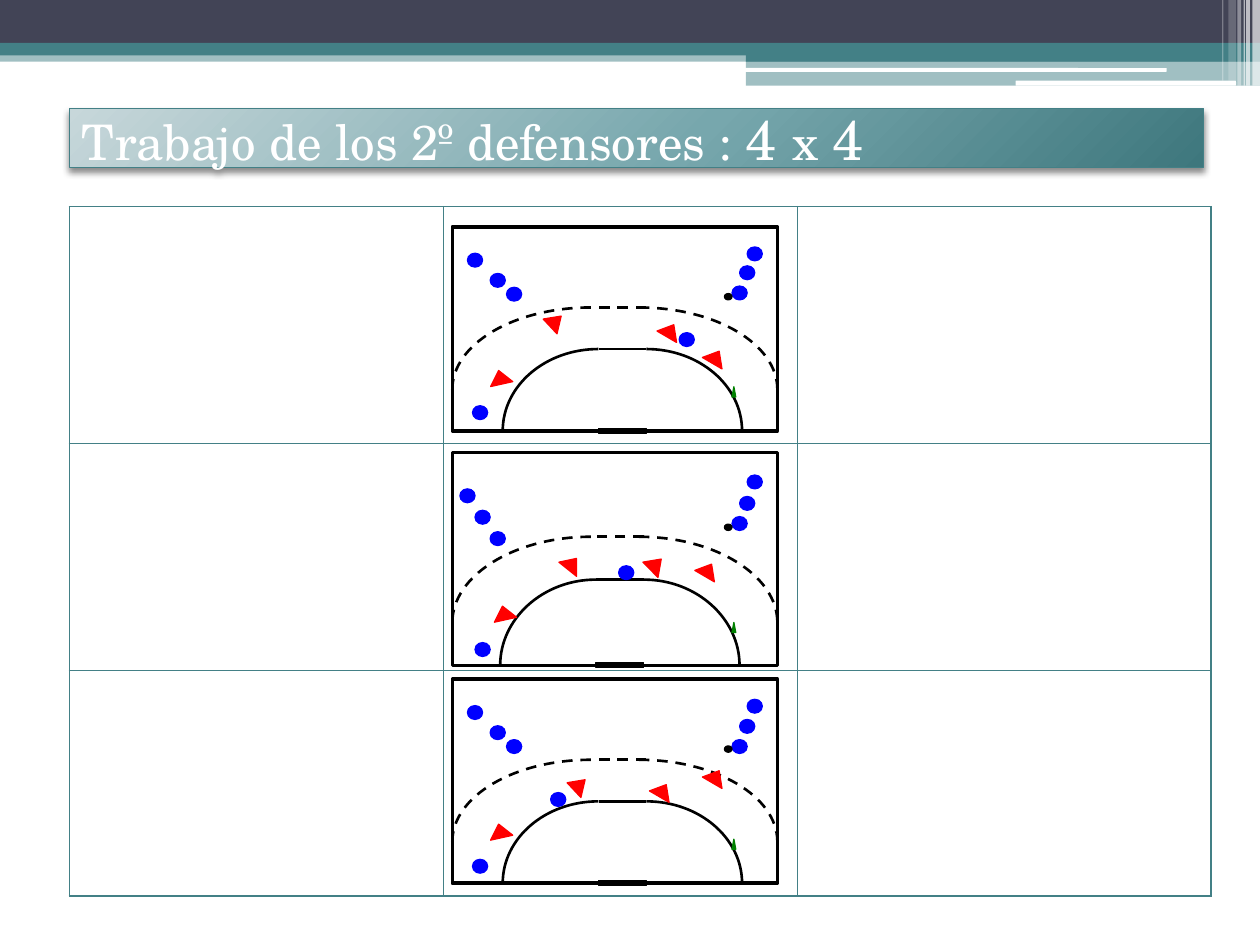
from lxml.etree import SubElement
from pptx import Presentation
from pptx.dml.color import RGBColor
from pptx.enum.dml import MSO_LINE
from pptx.enum.shapes import MSO_CONNECTOR, MSO_SHAPE
from pptx.enum.text import MSO_ANCHOR, PP_ALIGN
from pptx.oxml import parse_xml
from pptx.oxml.ns import nsdecls, qn
from pptx.util import Pt

PX = 9144  # 100 px to the inch
FONT = "TeX Gyre Schola"
WHITE = RGBColor(0xFF, 0xFF, 0xFF)
BLACK = RGBColor(0x00, 0x00, 0x00)
SLATE = RGBColor(0x42, 0x44, 0x56)
TEAL = RGBColor(0x43, 0x80, 0x86)
BLUE = RGBColor(0x00, 0x00, 0xFF)
RED = RGBColor(0xFF, 0x00, 0x00)
GREEN = RGBColor(0x00, 0x80, 0x00)

HEADER_BANDS = [  # left, top, width, height, colour, opacity in percent
    (0, 40, 1000, 9, TEAL, 50),
    (0, 0, 1000, 34, SLATE, 100),
    (0, 34, 1000, 10, TEAL, 100),
    (592, 39, 408, 10, TEAL, 100),
    (592, 48, 408, 20, TEAL, 50),
    (591, 54, 335, 3, WHITE, 100),
    (806, 64, 175, 4, WHITE, 100),
    (994, 0, 6, 68, WHITE, 65),
    (989, 0, 3, 68, WHITE, 65),
    (987, 0, 1, 68, WHITE, 60),
    (982, 0, 3, 68, WHITE, 40),
    (975, 0, 6, 64, WHITE, 20),
    (970, 0, 1, 64, WHITE, 30),
]

# Positions are relative to the court; defenders are left, top, width, height, rotation.
DRILLS = [
    {
        "box": (359, 180, 258, 162), "goal_left": 116,
        "attackers": [(222, 47), (228, 31), (234, 16), (180, 84),
                      (30, 37), (43, 48), (12, 21), (16, 142)],
        "defenders": [(164, 77, 18, 11, 30.2), (200, 98, 18, 11, 30.2),
                      (74, 69, 16, 12, 46.9), (29, 114, 18, 11, 347.5)],
        "goalkeeper": (222, 127), "ball": (216, 53),
    },
    {
        "box": (359, 359, 258, 169), "goal_left": 114,
        "attackers": [(222, 51), (228, 35), (234, 18), (132, 90),
                      (18, 46), (30, 63), (6, 29), (18, 151)],
        "defenders": [(153, 83, 17, 12, 45.4), (194, 88, 18, 11, 30.2),
                      (86, 83, 18, 11, 38.7), (32, 122, 18, 11, 347.5)],
        "goalkeeper": (222, 135), "ball": (216, 57),
    },
    {
        "box": (359, 539, 258, 162), "goal_left": 116,
        "attackers": [(222, 48), (228, 32), (234, 16), (78, 90),
                      (30, 37), (43, 48), (12, 21), (16, 143)],
        "defenders": [(158, 83, 18, 11, 30.2), (200, 72, 18, 11, 30.2),
                      (93, 78, 16, 12, 46.9), (29, 115, 18, 11, 347.5)],
        "goalkeeper": (222, 127), "ball": (216, 53),
    },
]


def add_solid(shapes, kind, box, fill, line=None, weight=0.75, rotation=0):
    shape = shapes.add_shape(kind, *(value * PX for value in box))
    shape.shadow.inherit = False
    shape.fill.solid()
    shape.fill.fore_color.rgb = fill
    if line is None:
        shape.line.fill.background()
    else:
        shape.line.color.rgb = line
        shape.line.width = Pt(weight)
    shape.rotation = rotation
    return shape


def style_marking(line, dashed):
    line.color.rgb = BLACK
    line.width = Pt(1.5)
    if dashed:
        line.dash_style = MSO_LINE.DASH


def add_header(slide):
    for *box, colour, opacity in HEADER_BANDS:
        kind = MSO_SHAPE.ROUNDED_RECTANGLE if (colour, opacity) == (WHITE, 100) else MSO_SHAPE.RECTANGLE
        band = add_solid(slide.shapes, kind, box, colour)
        if opacity < 100:
            colour_element = band.fill._xPr.find(qn("a:solidFill"))[0]
            SubElement(colour_element, qn("a:alpha"), val=str(opacity * 1000))


def add_title(slide, box):
    shape = add_solid(slide.shapes, MSO_SHAPE.RECTANGLE, box, TEAL, TEAL)
    properties = shape._element.spPr
    properties.replace(properties.find(qn("a:solidFill")), parse_xml(
        f'<a:gradFill {nsdecls("a")} rotWithShape="1"><a:gsLst>'
        '<a:gs pos="0"><a:srgbClr val="C7D7DA"/></a:gs>'
        '<a:gs pos="55000"><a:srgbClr val="77A7AD"/></a:gs>'
        '<a:gs pos="100000"><a:srgbClr val="3E777D"/></a:gs></a:gsLst>'
        '<a:path path="circle"><a:fillToRect l="-40000" t="-90000" r="140000" b="190000"/>'
        '</a:path></a:gradFill>'))
    properties.find(qn("a:effectLst")).append(parse_xml(
        f'<a:outerShdw {nsdecls("a")} blurRad="50800" dist="25400" dir="5400000" rotWithShape="0">'
        '<a:srgbClr val="000000"><a:alpha val="45000"/></a:srgbClr></a:outerShdw>'))
    frame = shape.text_frame
    frame.word_wrap = True
    frame.vertical_anchor = MSO_ANCHOR.MIDDLE
    paragraph = frame.paragraphs[0]
    paragraph.alignment = PP_ALIGN.LEFT
    for text, size in [("Trabajo de los 2º defensores : ", 28), ("4 ", 32), ("x ", 28), ("4", 32)]:
        run = paragraph.add_run()
        run.text = text
        run.font.name = FONT
        run.font.size = Pt(size)
        run.font.color.rgb = WHITE


def add_grid(slide, left, top, widths, heights):
    """Empty table with thin borders that holds the courts."""
    table = slide.shapes.add_table(len(heights), len(widths), left * PX, top * PX,
                                   sum(widths) * PX, sum(heights) * PX).table
    table.first_row = False
    table.horz_banding = False
    for column, width in zip(table.columns, widths):
        column.width = width * PX
    for row, height in zip(table.rows, heights):
        row.height = height * PX
    for cell in table.iter_cells():
        properties = cell._tc.get_or_add_tcPr()
        for side in ("lnL", "lnR", "lnT", "lnB"):
            border = SubElement(properties, qn(f"a:{side}"), w=str(Pt(1)))
            SubElement(SubElement(border, qn("a:solidFill")), qn("a:srgbClr"), val=str(TEAL))
        cell.fill.background()


def add_quarter_arc(shapes, start_x, start_y, width, height, dashed):
    """Quarter ellipse from its top, ending at the right, or at the left if width is negative."""
    builder = shapes.build_freeform(start_x, start_y, scale=PX)
    builder.add_line_segments([(start_x + width, start_y + height)], close=False)
    arc = builder.convert_to_shape()
    segment = next(arc._element.iter(qn("a:lnTo")))
    curve = parse_xml(f'<a:cubicBezTo {nsdecls("a")}/>')
    origin = max(0, -width)
    for across, down in [(0.55, 0), (1, 0.45), (1, 1)]:
        SubElement(curve, qn("a:pt"), x=str(round(origin + width * across)),
                   y=str(round(height * down)))
    segment.getparent().replace(segment, curve)
    arc.shadow.inherit = False
    arc.fill.background()
    style_marking(arc.line, dashed)


def add_straight_marking(shapes, left, right, y, dashed):
    line = shapes.add_connector(MSO_CONNECTOR.STRAIGHT, right * PX, y * PX, left * PX, y * PX)
    SubElement(line._element.spPr, qn("a:effectLst"))
    style_marking(line.line, dashed)


def add_court(slide, box, goal_left, attackers, defenders, goalkeeper, ball):
    left, top, width, height = box
    shapes = slide.shapes.add_group_shape().shapes
    add_solid(shapes, MSO_SHAPE.RECTANGLE, box, WHITE, BLACK, 2)

    goal_start, goal_end = left + goal_left, left + goal_left + 38
    markings = [  # arc starts, arc width, top as a share of the height, dashed
        (goal_start, goal_end, 76, 0.6, False),
        (left + 110, left + 148, 110, 0.4, True),
    ]
    for arc_left, arc_right, arc_width, share, dashed in markings:
        y = top + int(height * share)
        arc_height = round(height * 0.4)
        add_quarter_arc(shapes, arc_right, y, arc_width, arc_height, dashed)
        add_quarter_arc(shapes, arc_left, y, -arc_width, arc_height, dashed)
        add_straight_marking(shapes, goal_start, goal_end, y, dashed)
    add_solid(shapes, MSO_SHAPE.RECTANGLE, (goal_start, top + height - 2, 38, 4), BLACK, BLACK)

    def add_piece(kind, x, y, piece_width, piece_height, colour, rotation=0):
        add_solid(shapes, kind, (left + x, top + y, piece_width, piece_height),
                  colour, colour, rotation=rotation)

    for x, y in attackers:
        add_piece(MSO_SHAPE.OVAL, x, y, 12, 11, BLUE)
    for *place, rotation in defenders:
        add_piece(MSO_SHAPE.ISOSCELES_TRIANGLE, *place, RED, rotation)
    add_piece(MSO_SHAPE.ISOSCELES_TRIANGLE, *goalkeeper, 3, 8, GREEN)
    add_piece(MSO_SHAPE.OVAL, *ball, 6, 5, BLACK)


def main():
    presentation = Presentation()
    presentation.slide_width = 1000 * PX
    presentation.slide_height = 750 * PX
    slide = presentation.slides.add_slide(presentation.slide_layouts[6])
    add_header(slide)
    add_title(slide, (55, 86, 900, 47))
    add_grid(slide, 55, 164, (297, 281, 328), (188, 180, 179))
    for drill in DRILLS:
        add_court(slide, **drill)
    presentation.save("out.pptx")


if __name__ == "__main__":
    main()
